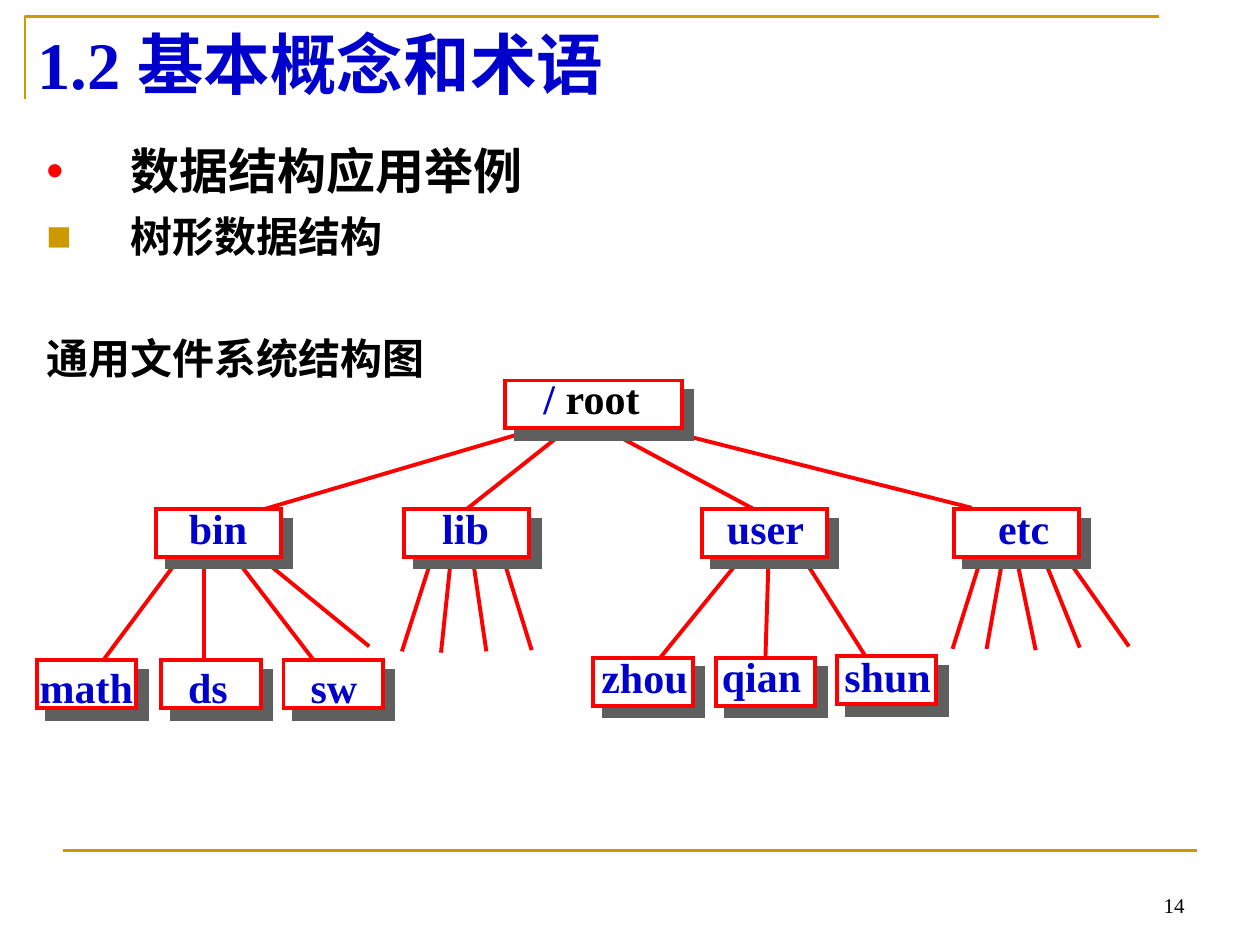
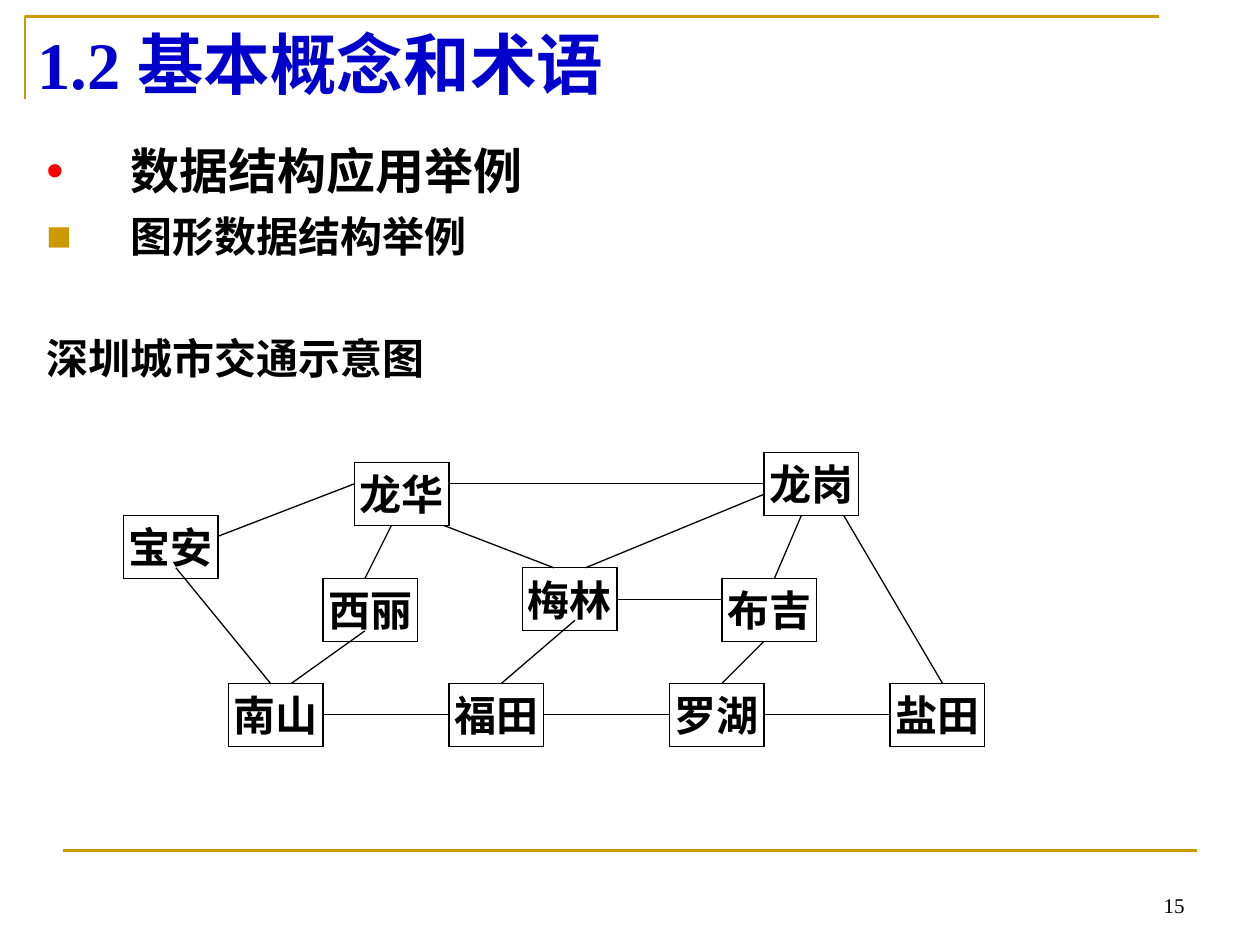
from lxml import etree
from pptx import Presentation
from pptx import util as u
from pptx.dml.color import RGBColor
from pptx.enum import shapes, text
from pptx.oxml.ns import qn

W, H = 10, 7.5
COLORS = {"gold": "CC9900", "blue": "0000CC", "red": "FF0000",
          "black": "000000", "white": "FFFFFF", "shadow": "5F5F5F"}
SERIF, SANS, CJK, CITY = "Times New Roman", "Arial", "Noto Sans CJK SC", "Karla"
TITLE = "1.2 基本概念和术语"
TOPIC = "数据结构应用举例"
INDENT = 0.67

# Directory tree: label, box left, label left, label width
BOX_H = 0.38
ROOT = (4.01, 3.02, 1.4)
FOLDER_TOP, FOLDER_W = 4.04, 0.99
FOLDERS = [("bin", 1.24, 1.48, 0.5), ("lib", 3.21, 3.49, 0.41),
           ("user", 5.57, 5.75, 0.65), ("etc", 7.57, 7.9, 0.45)]
# Leaves add the box top and the label top
LEAF_W = 0.79
LEAVES = [("math", 0.29, 0.27, 0.83, 5.24, 5.25), ("ds", 1.28, 1.36, 0.58, 5.24, 5.25),
          ("sw", 2.25, 2.36, 0.58, 5.24, 5.25), ("zhou", 4.71, 4.75, 0.73, 5.22, 5.17),
          ("qian", 5.68, 5.71, 0.67, 5.22, 5.16), ("shun", 6.64, 6.68, 0.73, 5.21, 5.16)]
# Branches: start x, end x, end y
ROOT_BRANCHES = [(4.24, 2.1, 4.04), (4.5, 3.71, 4.04), (4.81, 6, 4.05), (5.25, 7.71, 4.03)]
FOLDER_BRANCHES = [
    (1.43, 0.82, 5.24), (1.62, 1.62, 5.24), (1.86, 2.49, 5.24), (2.06, 2.93, 5.13),
    (3.43, 3.19, 5.17), (3.58, 3.5, 5.18), (3.75, 3.86, 5.17), (3.99, 4.22, 5.16),
    (5.89, 5.24, 5.22), (6.1, 6.07, 5.21), (6.37, 6.87, 5.21),
    (7.79, 7.56, 5.15), (7.96, 7.83, 5.15), (8.08, 8.22, 5.16), (8.28, 8.57, 5.14),
    (8.46, 8.96, 5.13)]

# City map on a grid of twelfths of an inch
MAP_LEFT, MAP_TOP, CELL = 0.98, 3.59, 1 / 12
CITY_COLS, CITY_ROWS = 9, 6
CITIES = [("南山", 10, 22), ("福田", 31, 22), ("罗湖", 52, 22), ("盐田", 73, 22),
          ("宝安", 0, 6), ("西丽", 19, 12), ("梅林", 38, 11), ("布吉", 57, 12),
          ("龙华", 22, 1), ("龙岗", 61, 0)]
FILLED_CITIES = ("龙华", "龙岗")
ROADS = [(19, 25, 31, 25), (40, 25, 52, 25), (61, 25, 73, 25), (14, 22, 5, 11),
         (9, 8, 22, 3), (31, 3, 61, 3), (36, 22, 43, 16), (44, 11, 61, 4),
         (65, 5, 62, 12), (61, 18, 57, 22), (68, 5, 78, 22), (47, 14, 57, 14),
         (16, 22, 23, 17), (23, 12, 26, 6), (28, 6, 41, 11)]


def rgb(name):
    return RGBColor.from_string(COLORS[name])


def box(left, top, width, height):
    return [u.Inches(v) for v in (left, top, width, height)]


def add_run(p, content, size, font, color="black", bold=True):
    r = p.add_run()
    r.text = content
    r.font.size, r.font.name, r.font.bold = u.Pt(size), font, bold
    r.font.color.rgb = rgb(color)


def set_insets(tf, left, top, right, bottom):
    tf.margin_left, tf.margin_top, tf.margin_right, tf.margin_bottom = box(
        left, top, right, bottom)


def add_text(slide, area, wrap=True):
    tf = slide.shapes.add_textbox(*box(*area)).text_frame
    tf.word_wrap = wrap
    return tf


def add_line(slide, x1, y1, x2, y2, color, width):
    c = slide.shapes.add_connector(shapes.MSO_CONNECTOR.STRAIGHT, *box(x1, y1, x2, y2))
    c.line.color.rgb = rgb(color)
    c.line.width = u.Pt(width)
    etree.SubElement(c._element.spPr, qn("a:effectLst"))
    return c


def add_rect(slide, area, color, width, fill=True):
    sp = slide.shapes.add_shape(shapes.MSO_SHAPE.RECTANGLE, *box(*area))
    sp.shadow.inherit = False
    if fill:
        sp.fill.solid()
        sp.fill.fore_color.rgb = rgb("white")
    else:
        sp.fill.background()
    sp.line.color.rgb = rgb(color)
    sp.line.width = u.Pt(width)
    etree.SubElement(sp._element.spPr.find(qn("a:ln")), qn("a:miter"), lim="800000")
    return sp


def add_hard_shadow(sp):
    effects = sp._element.spPr.find(qn("a:effectLst"))
    shadow = etree.SubElement(effects, qn("a:outerShdw"), dist=str(u.Pt(8.5)),
                              dir=str(45 * 60000), algn="ctr", rotWithShape="0")
    etree.SubElement(shadow, qn("a:srgbClr"), val=COLORS["shadow"])


def join_ends(connectors, rects):
    """Glue each connector end that lies at the middle of a rectangle's side."""
    near = u.Inches(0.02)
    for c in connectors:
        ends = [(c.begin_x, c.begin_y, c.begin_connect), (c.end_x, c.end_y, c.end_connect)]
        for x, y, connect in ends:
            for sp in rects:
                mid_x, mid_y = sp.left + sp.width // 2, sp.top + sp.height // 2
                sides = [(mid_x, sp.top), (sp.left, mid_y),
                         (mid_x, sp.top + sp.height), (sp.left + sp.width, mid_y)]
                for i, (sx, sy) in enumerate(sides):
                    if abs(sx - x) <= near and abs(sy - y) <= near:
                        connect(sp, i)


def add_item(p, content, size, font, bullet=None, color=None):
    pPr = p._p.get_or_add_pPr()
    pPr.set("marL", str(u.Inches(INDENT)))
    pPr.set("indent", str(-u.Inches(INDENT)))
    if bullet:
        clr = etree.SubElement(pPr, qn("a:buClr"))
        etree.SubElement(clr, qn("a:srgbClr"), val=COLORS[color])
        etree.SubElement(pPr, qn("a:buFont"), typeface=SANS)
        etree.SubElement(pPr, qn("a:buChar"), char=bullet)
    else:
        etree.SubElement(pPr, qn("a:buNone"))
    add_run(p, content, size, font)


def add_slide(prs, number, example, caption):
    """Slide with frame, title, two bullets, a caption and a page number."""
    slide = prs.slides.add_slide(prs.slide_layouts[6])
    fb = slide.shapes.build_freeform(u.Inches(0.2), u.Inches(0.79))
    fb.add_line_segments([box(0.2, 0.13, 0, 0)[:2], box(9.2, 0.13, 0, 0)[:2]], close=False)
    frame = fb.convert_to_shape()
    frame.shadow.inherit = False
    frame.fill.background()
    frame.line.color.rgb = rgb("gold")
    frame.line.width = u.Pt(1.5)
    add_line(slide, 0.05 * W, 0.9 * H, 0.95 * W, 0.9 * H, "gold", 1.5)

    tf = add_text(slide, (7.17, 6.83, 2.33, 0.5))
    tf.vertical_anchor = text.MSO_ANCHOR.BOTTOM
    tf.paragraphs[0].alignment = text.PP_ALIGN.RIGHT
    add_run(tf.paragraphs[0], str(number), 12, SERIF, bold=False)

    tf = add_text(slide, (0.2, 0.13, 9, 0.71))
    add_run(tf.paragraphs[0], TITLE, 38, SERIF, "blue")

    tf = add_text(slide, (0.27, 1.07, 7.09, 2.44))
    add_item(tf.paragraphs[0], TOPIC, 28, SANS, "•", "red")
    p = tf.add_paragraph()
    p.space_before = u.Pt(6)
    add_item(p, example, 24, CJK, "■", "gold")
    p = tf.add_paragraph()
    p.space_before = u.Pt(41)
    add_item(p, caption, 24, CJK)
    return slide


def add_label(slide, area, *runs):
    tf = add_text(slide, area, wrap=False)
    tf.auto_size = text.MSO_AUTO_SIZE.SHAPE_TO_FIT_TEXT
    set_insets(tf, 0, 0, 0, 0.05)
    p = tf.paragraphs[0]
    p.alignment = text.PP_ALIGN.CENTER
    for content, color in runs:
        add_run(p, content, 24, SERIF, color)


def draw_tree(slide):
    branches = [add_line(slide, x1, top, x2, y2, "red", 2.25)
                for top, group in ((3.41, ROOT_BRANCHES), (4.42, FOLDER_BRANCHES))
                for x1, x2, y2 in group]
    areas = [ROOT + (BOX_H,)]
    areas += [(left, FOLDER_TOP, FOLDER_W, BOX_H) for _, left, _, _ in FOLDERS]
    areas += [(left, top, LEAF_W, BOX_H) for _, left, _, _, top, _ in LEAVES]
    rects = [add_rect(slide, area, "red", 2.25) for area in areas]
    for sp in rects:
        add_hard_shadow(sp)
    join_ends(branches, rects)

    add_label(slide, (4.31, 2.96, 0.77, 0.45), ("/", "blue"), (" root", "black"))
    for name, _, left, width in FOLDERS:
        add_label(slide, (left, 3.99, width, 0.45), (name, "blue"))
    for name, _, left, width, _, top in LEAVES:
        add_label(slide, (left, top, width, 0.45), (name, "blue"))


def map_point(col, row):
    return MAP_LEFT + col * CELL, MAP_TOP + row * CELL


def add_city(slide, name, col, row):
    area = map_point(col, row) + (CITY_COLS * CELL, CITY_ROWS * CELL)
    sp = add_rect(slide, area, "black", 0.75, name in FILLED_CITIES)
    tf = sp.text_frame
    tf.word_wrap = True
    tf.vertical_anchor = text.MSO_ANCHOR.TOP
    set_insets(tf, 0, 0.05, 0, 0.05)
    tf.paragraphs[0].alignment = text.PP_ALIGN.CENTER
    add_run(tf.paragraphs[0], name, 24, CITY)
    return sp


def draw_map(slide):
    roads = [add_line(slide, *map_point(c1, r1), *map_point(c2, r2), "black", 0.75)
             for c1, r1, c2, r2 in ROADS]
    join_ends(roads, [add_city(slide, *city) for city in CITIES])


def main():
    prs = Presentation()
    prs.slide_width, prs.slide_height = u.Inches(W), u.Inches(H)
    draw_tree(add_slide(prs, 14, "树形数据结构", "通用文件系统结构图"))
    draw_map(add_slide(prs, 15, "图形数据结构举例", "深圳城市交通示意图"))
    prs.save("out.pptx")


if __name__ == "__main__":
    main()
